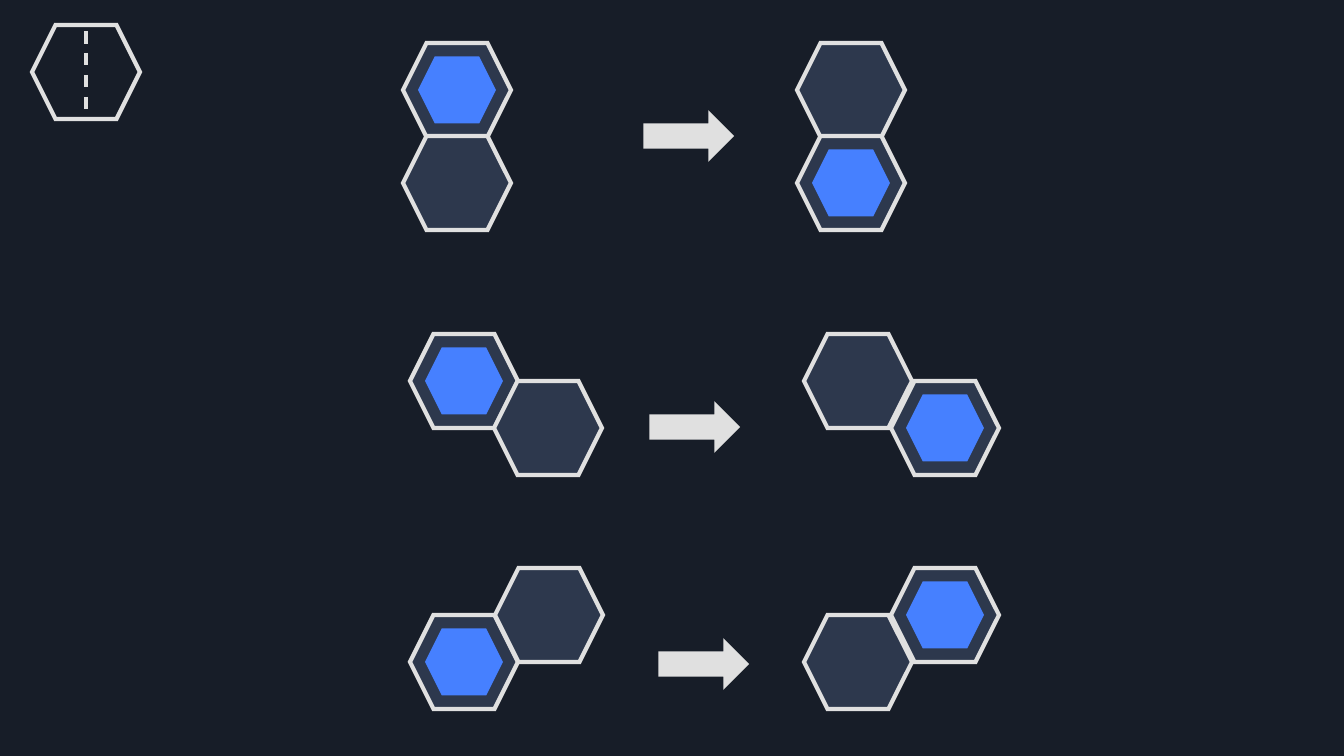
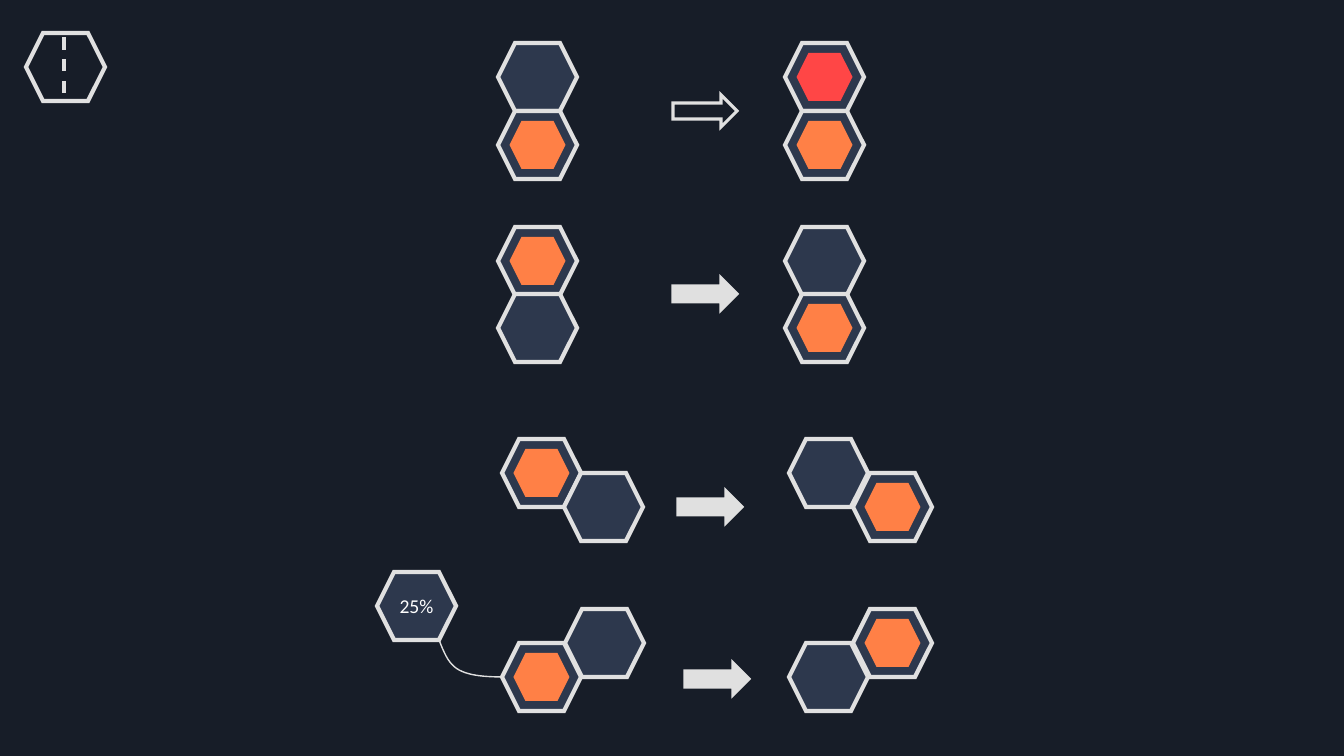
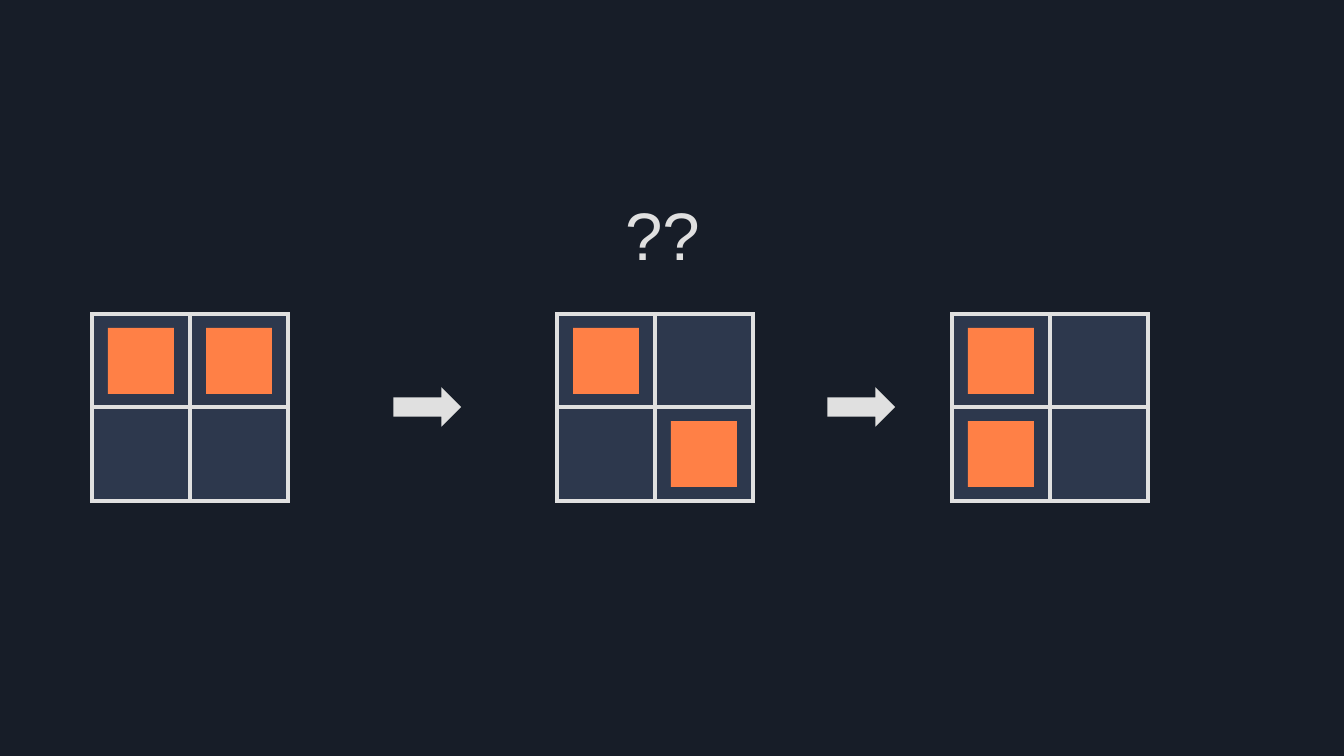
from dataclasses import dataclass
from itertools import product

from lxml.etree import SubElement
from pptx import Presentation
from pptx.dml.color import RGBColor
from pptx.enum.dml import MSO_LINE_DASH_STYLE as DASH
from pptx.enum.shapes import MSO_CONNECTOR as CONNECTOR, MSO_SHAPE as SHAPE
from pptx.enum.text import MSO_ANCHOR as ANCHOR, MSO_AUTO_SIZE as FIT, PP_ALIGN as ALIGN
from pptx.oxml.ns import qn
from pptx.util import Emu, Pt

NIGHT, SLATE, PALE, WHITE = "171D28", "2D384D", "E0E0E0", "FFFFFF"
BLUE, ORANGE, RED = "4680FF", "FF8046", "FF4646"


def px(length):
    return Emu(round(length * 914400 / 100.8))


def colour(code):
    return RGBColor.from_string(code)


@dataclass
class Pieces:
    outline: SHAPE
    cell: tuple
    token: tuple
    arrow: tuple


LARGE = Pieces(SHAPE.HEXAGON, (108, 94), (78, 67), (87, 44))
SMALL = Pieces(SHAPE.HEXAGON, (79, 68), (56, 48), (64, 32))
SQUARE = Pieces(SHAPE.RECTANGLE, (98, 94), (66, 66), (64, 32))


class Sketch:
    """Draws cells, tokens and arrows on dark slides in one shared style."""

    def __init__(self):
        self.deck = Presentation()
        self.deck.slide_width, self.deck.slide_height = px(1344), px(756)
        background = self.deck.slide_master.background.fill
        background.solid()
        background.fore_color.rgb = colour(NIGHT)

    def add_page(self, pieces):
        self.shapes = self.deck.slides.add_slide(self.deck.slide_layouts[6]).shapes
        self.pieces = pieces

    def paint(self, shape, fill=None, width=0):
        shape.shadow.inherit = False
        if fill:
            shape.fill.solid()
            shape.fill.fore_color.rgb = colour(fill)
        else:
            shape.fill.background()
        if width:
            shape.line.color.rgb = colour(PALE)
            shape.line.width = Pt(width)
            corner = SubElement(shape._element.spPr.get_or_add_ln(), qn("a:miter"))
            corner.set("lim", "800000")
        else:
            shape.line.fill.background()
        return shape

    def block(self, outline, spot, size, fill=None, width=0):
        return self.paint(self.shapes.add_shape(outline, *map(px, spot + size)), fill, width)

    def cell(self, spot, fill=SLATE):
        return self.block(self.pieces.outline, spot, self.pieces.cell, fill, 3)

    def token(self, spot, fill):
        size = self.pieces.token
        centred = tuple(start + (outer - inner) / 2
                        for start, outer, inner in zip(spot, self.pieces.cell, size))
        self.block(self.pieces.outline, centred, size, fill)

    def arrow(self, spot, fill=PALE):
        self.block(SHAPE.RIGHT_ARROW, spot, self.pieces.arrow, fill, 2.25)

    def state(self, spots, tokens):
        for spot in spots:
            self.cell(spot)
        for index, fill in tokens.items():
            self.token(spots[index], fill)

    def move(self, before, after, arrow, fill):
        self.state(before, {0: fill})
        self.state(after, {1: fill})
        self.arrow(arrow)

    def axis(self, x, top, bottom):
        line = self.shapes.add_connector(CONNECTOR.STRAIGHT, *map(px, (x, top, x, bottom)))
        line.line.color.rgb = colour(PALE)
        line.line.width = Pt(2.25)
        line.line.dash_style = DASH.DASH
        SubElement(line._element.spPr, qn("a:effectLst"))

    def curve(self, start, *bends, steps=12):
        points = [start]
        for bend in bends:
            corners = (points[-1],) + bend
            for step in range(1, steps + 1):
                t = step / steps
                weights = ((1 - t) ** 3, 3 * t * (1 - t) ** 2, 3 * t * t * (1 - t), t ** 3)
                points.append(tuple(sum(w * corner[i] for w, corner in zip(weights, corners))
                                    for i in range(2)))
        points = [(px(x), px(y)) for x, y in points]
        builder = self.shapes.build_freeform(*points[0])
        builder.add_line_segments(points[1:], close=False)
        self.paint(builder.convert_to_shape(), width=1)

    def add_text(self, box, text, size, font, ink):
        para = box.text_frame.paragraphs[0]
        para.alignment = ALIGN.CENTER
        span = para.add_run()
        span.text = text
        span.font.size, span.font.name = Pt(size), font
        span.font.color.rgb = colour(ink)

    def caption(self, spot, size, text):
        box = self.shapes.add_textbox(*map(px, spot + size))
        box.text_frame.word_wrap = True
        box.text_frame.auto_size = FIT.SHAPE_TO_FIT_TEXT
        self.add_text(box, text, 48, "Arial", PALE)

    def label(self, spot, text):
        box = self.cell(spot)
        box.text_frame.word_wrap = False
        box.text_frame.vertical_anchor = ANCHOR.MIDDLE
        self.add_text(box, text, 14, "Calibri", WHITE)


sketch = Sketch()

sketch.add_page(LARGE)
for before, after, arrow in (
    (((403, 43), (403, 136)), ((797, 43), (797, 136)), (645, 114)),
    (((410, 334), (494, 381)), ((804, 334), (891, 381)), (651, 405)),
    (((410, 615), (495, 568)), ((804, 615), (891, 568)), (660, 642)),
):
    sketch.move(before, after, arrow, BLUE)
sketch.cell((32, 25), None)
sketch.axis(86, 31, 119)

sketch.add_page(SMALL)
sketch.axis(64, 37, 101)
sketch.cell((26, 33), None)
for before, after, arrow in (
    (((498, 227), (498, 294)), ((785, 227), (785, 294)), (673, 278)),
    (((502, 439), (564, 473)), ((789, 439), (853, 473)), (678, 491)),
    (((502, 643), (565, 609)), ((789, 643), (853, 609)), (685, 663)),
):
    sketch.move(before, after, arrow, ORANGE)
sketch.label((377, 572), "25%")
sketch.curve((503, 677), ((487, 677), (470, 676), (459, 670)),
             ((448, 664), (444, 652), (439, 640)))
sketch.state(((498, 43), (498, 111)), {1: ORANGE})
sketch.state(((785, 43), (785, 111)), {0: RED, 1: ORANGE})
sketch.arrow((673, 95), NIGHT)

sketch.add_page(SQUARE)
for left, filled in ((92, (0, 1)), (557, (0, 3)), (952, (0, 2))):
    grid = [(left + 98 * column, 314 + 93 * row) for row, column in product(range(2), repeat=2)]
    sketch.state(grid, dict.fromkeys(filled, ORANGE))
for left in (395, 829):
    sketch.arrow((left, 391))
sketch.caption((563, 188), (199, 92), "??")

sketch.deck.save("out.pptx")
